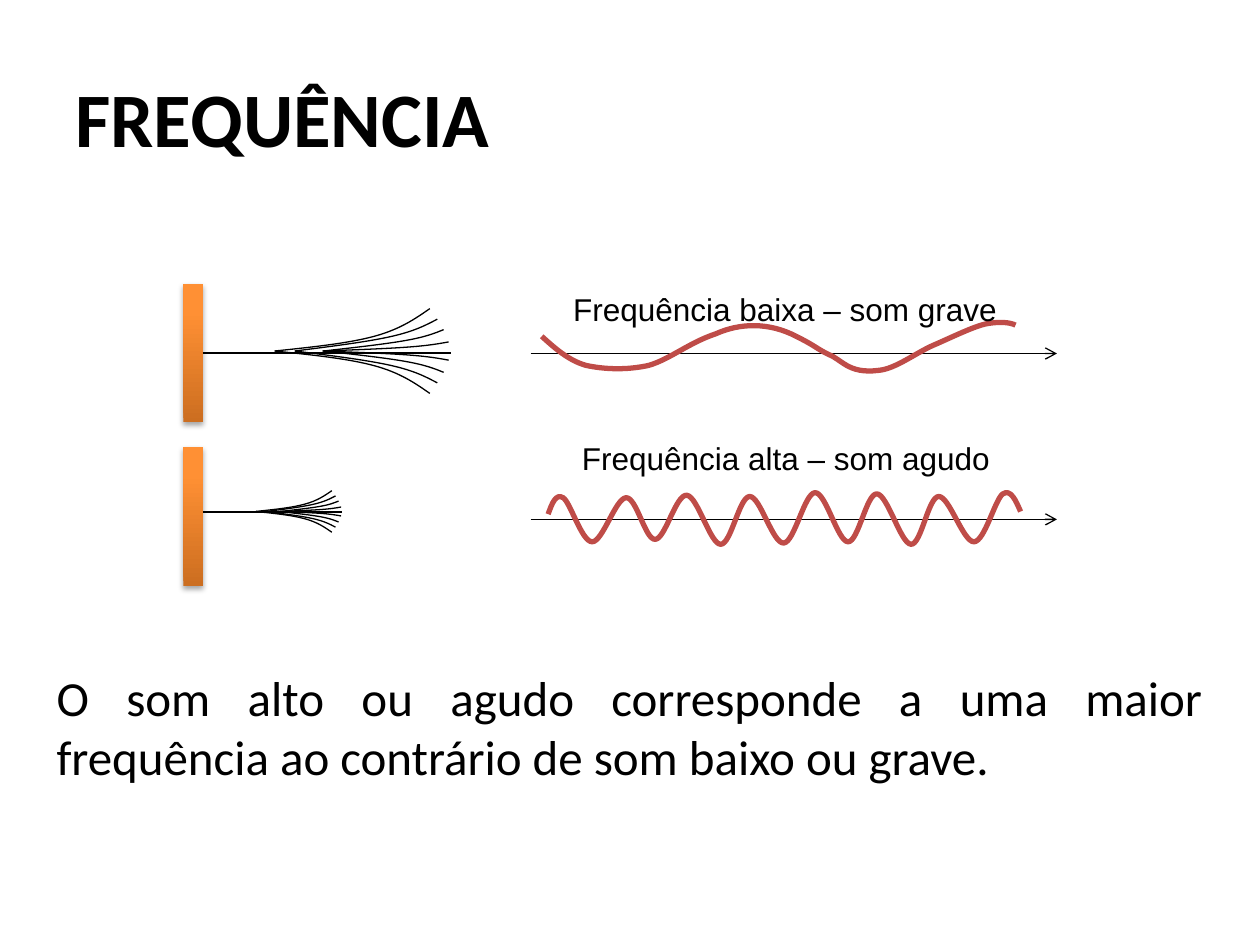
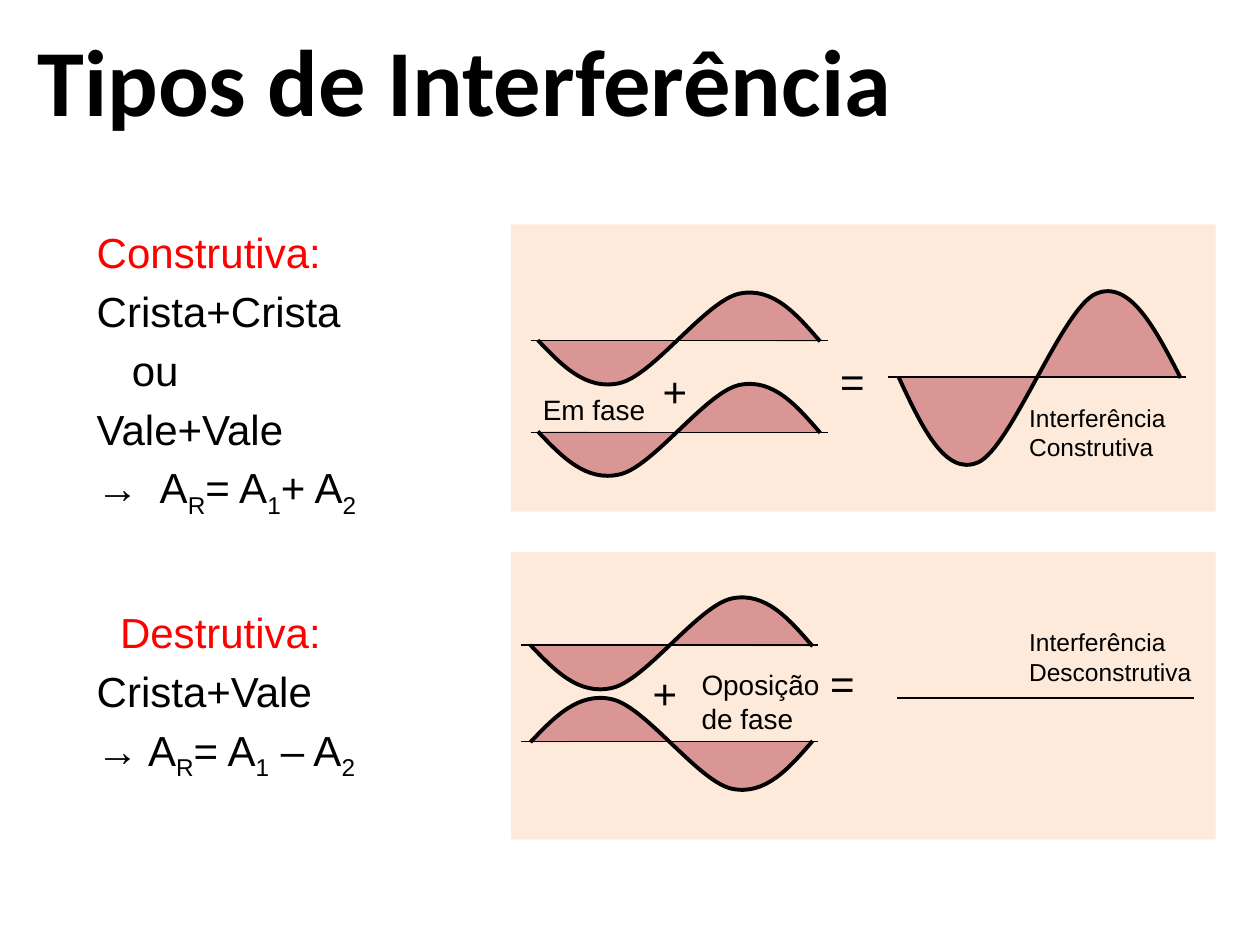
from lxml import etree
from pptx import Presentation
from pptx.dml.color import RGBColor
from pptx.enum.shapes import MSO_CONNECTOR as Connector
from pptx.enum.shapes import MSO_SHAPE as Shape
from pptx.enum.shapes import MSO_SHAPE_TYPE as Kind
from pptx.enum.text import MSO_ANCHOR as Anchor
from pptx.enum.text import PP_ALIGN as Align
from pptx.oxml.ns import qn
from pptx.util import Pt

COLORS = {name: RGBColor.from_string(value) for name, value in {
    "black": "000000", "red": "FF0000", "wave": "BF4C48", "lobe": "D99694",
    "panel": "FDEADA", "wall_dark": "CC6E20", "wall_light": "FF9034",
}.items()}


def add_text(page, at, text, size, font="Arial", bold=False, wrap=False):
    """Add a text box; at is left, top, width, height in points."""
    box = page.shapes.add_textbox(*map(Pt, at))
    box.text_frame.word_wrap = wrap
    box.text_frame.text = text
    for para in box.text_frame.paragraphs:
        for span in para.runs:
            span.font.name = font
            span.font.size = Pt(size)
            span.font.bold = bold
            span.font.color.rgb = COLORS["black"]
    return box


def add_curve(page, knots, color, width, fill=None, has_handles=False):
    """Draw a Bezier curve; handles are worked out unless knots hold them."""
    points = list(knots) if has_handles else [knots[0]]
    last = len(knots) - 2
    for i in range(0 if has_handles else last + 1):
        start, end = knots[i], knots[i + 1]
        before, after = knots[max(i - 1, 0)], knots[min(i + 2, last + 1)]
        leave = [s + (e - b) / 6 for s, e, b in zip(start, end, before)]
        arrive = [e - (a - s) / 6 for s, e, a in zip(start, end, after)]
        if i == 0:
            leave = [(s + c) / 2 for s, c in zip(start, arrive)]
        if i == last:
            arrive = [(e + c) / 2 for e, c in zip(end, leave)]
        points += [leave, arrive, end]
    points = [(Pt(x), Pt(y)) for x, y in points]
    builder = page.shapes.build_freeform(*points[0])
    builder.add_line_segments(points[1:], close=False)
    curve = builder.convert_to_shape()
    # Turn every three line segments into one cubic segment
    outline = next(curve._element.iter(qn("a:path")))
    segments = outline.findall(qn("a:lnTo"))
    for i in range(0, len(segments), 3):
        cubic = etree.SubElement(outline, qn("a:cubicBezTo"))
        for segment in segments[i:i + 3]:
            cubic.append(segment[0])
            outline.remove(segment)
    curve.shadow.inherit = False
    curve.line.color.rgb = COLORS[color]
    curve.line.width = Pt(width)
    if fill:
        curve.fill.solid()
        curve.fill.fore_color.rgb = COLORS[fill]
    else:
        curve.fill.background()


deck = Presentation()
deck.slide_width, deck.slide_height = Pt(720), Pt(540)
frequency, interference = [
    deck.slides.add_slide(deck.slide_layouts[6]) for _ in range(2)]

# Titles
for page, text, at, size in [
    (frequency, "FREQUÊNCIA", (36, 21.6, 648, 90), 44),
    (interference, "Tipos de Interferência", (14.4, 20.2, 692, 49), 54),
]:
    title = add_text(page, at, text, size, "Calibri", bold=True, wrap=True)
    title.text_frame.vertical_anchor = Anchor.MIDDLE

# Frequency: closing statement
statement = add_text(
    frequency, (25.2, 378, 669, 75),
    "O som alto ou agudo corresponde a uma maior frequência "
    "ao contrário de som baixo ou grave.", 28, "Calibri", wrap=True)
statement.text_frame.paragraphs[0].alignment = Align.JUSTIFY

# Frequency: time axes, waves and their labels
low_wave = [(309.6, 192.2),
            (316.8, 198.7), (324.7, 205.9), (334.8, 208.8),
            (344.9, 211), (357.8, 211.7), (370.8, 208.8),
            (383, 205.2), (393.8, 195.8), (409, 190.8),
            (423.4, 184.3), (439.9, 184.3), (455, 192.2),
            (466.6, 198), (465.8, 198.7), (473, 202.3),
            (481, 205.2), (484.6, 213.8), (501.8, 211.7),
            (511.9, 211), (524.2, 200.9), (535, 196.6),
            (545, 192.2), (556.6, 186.5), (563.8, 185),
            (571.7, 183.6), (577.4, 184.3), (580.3, 185.8)]
high_wave = [(313.2, 293.8), (321.8, 284.4), (338.4, 309.6), (357.8, 284.4),
             (374.4, 308.2), (392.4, 283), (411.8, 311), (428.4, 283.7),
             (447.8, 310.3), (465.8, 281.5), (484.6, 309.6), (501.1, 282.2),
             (520.6, 311), (536.4, 283.7), (556.6, 309.6), (573.1, 282.2),
             (583.2, 292.3)]
for axis_y, wave, has_handles, label, at in [
    (202, low_wave, True,
     "Frequência baixa – som grave", (320.4, 162, 259, 29)),
    (296.8, high_wave, False,
     "Frequência alta – som agudo", (325.4, 247.3, 250, 29)),
]:
    axis = frequency.shapes.add_connector(
        Connector.STRAIGHT, Pt(303.3), Pt(axis_y), Pt(604), Pt(axis_y))
    axis.line.width = Pt(0.75)
    outline = axis.line._get_or_add_ln()
    etree.SubElement(outline, qn("a:tailEnd"), type="arrow")
    add_curve(frequency, wave, "wave", 3, has_handles=has_handles)
    add_text(frequency, at, label, 18)

# Frequency: walls with vibrating blades; fronds are offsets from the root
fronds = [[(27.4, 0), (75.6, 2.2), (99.4, 5.2)],
          [(28, 0), (74.9, 6), (96.5, 12.2)],
          [(11.5, 0), (66.2, 8.2), (92.9, 18.2)],
          [(0, 0), (56.9, 8.4), (88.6, 24.2)]]
for wall_top, blade_y, blade_end, root_x, root_y, scale in [
    (162.2, 201.2, 257.6, 157, 200.6, 1),
    (255.6, 292.5, 195.6, 146.2, 292.3, 0.49),
]:
    wall = frequency.shapes.add_shape(
        Shape.RECTANGLE, Pt(104.8), Pt(wall_top), Pt(11.2), Pt(79.2))
    wall.line.fill.background()
    wall.fill.gradient()
    wall.fill.gradient_angle = 90
    dark, light = wall.fill.gradient_stops
    dark.color.rgb, dark.position = COLORS["wall_dark"], 0
    light.color.rgb, light.position = COLORS["wall_light"], 0.8
    wall.shadow.inherit = False
    effects = wall._element.spPr.find(qn("a:effectLst"))
    shadow = etree.SubElement(
        effects, qn("a:outerShdw"), blurRad=str(Pt(3.1)), dist=str(Pt(1.8)),
        dir="5400000", rotWithShape="0")
    tint = etree.SubElement(shadow, qn("a:srgbClr"), val="000000")
    etree.SubElement(tint, qn("a:alpha"), val="35000")

    blade = frequency.shapes.add_connector(
        Connector.STRAIGHT, Pt(116), Pt(blade_y), Pt(blade_end), Pt(blade_y))
    blade.line.width = Pt(1.5)
    if abs(blade_y - wall_top - 39.6) < 1:
        blade.begin_connect(wall, 3)
        blade.end_y = blade.begin_y
    for side in (-1, 1):
        for frond in fronds:
            add_curve(frequency, [(root_x + x * scale, root_y + side * y * scale)
                                  for x, y in frond], "black", 0.75)

# Interference: panels
for top in (128.2, 315.4):
    panel = interference.shapes.add_shape(
        Shape.RECTANGLE, Pt(292.1), Pt(top), Pt(402.5), Pt(164.2))
    panel.shadow.inherit = False
    panel.fill.solid()
    panel.fill.fore_color.rgb = COLORS["panel"]
    panel.line.fill.background()

# Interference: waves as start, then offsets of the two peaks and the end
in_phase = [(46.8, 24.5), (115.2, -26.6), (161.3, 0.7)]
opposed = [(x, -y) for x, y in in_phase]
doubled = [(45.4, 49), (113, -47.5), (161.3, 0.7)]
for x, y, offsets in [
    (307.4, 194.4, in_phase),
    (307.4, 246.6, in_phase),
    (303.1, 368.6, in_phase),
    (303.1, 424.1, opposed),
    (513.4, 215.3, doubled),
]:
    add_curve(interference, [(x, y)] + [(x + dx, y + dy) for dx, dy in offsets],
              "black", 2.25, "lobe")

# Interference: rest lines
for x, y in [(303.3, 194.4), (303.3, 247), (297.7, 368.6), (297.7, 423.9),
             (507.6, 215.5), (512.6, 398.9)]:
    rest = interference.shapes.add_connector(
        Connector.STRAIGHT, Pt(x), Pt(y), Pt(x + 169.9), Pt(y))
    rest.line.width = Pt(0.75)

# Interference: signs and labels
for at, text, size in [
    ((371.5, 205.2, 29, 36.7), "+", 24),
    ((473, 199.4, 29, 36.7), "=", 24),
    ((365.8, 378, 29, 36.7), "+", 24),
    ((467.3, 372.2, 29, 36.7), "=", 24),
    ((303.1, 220.5, 74.2, 26.6), "Em fase", 16),
    ((393.8, 378, 87.1, 46.1), "Oposição\nde fase", 16),
    ((581, 226.8, 92.9, 41), "Interferência\nConstrutiva", 14),
    ((581, 355, 108, 41), "Interferência\nDesconstrutiva", 14),
]:
    add_text(interference, at, text, size)

# Interference: rules; "_" sets the next character as a subscript
rules = add_text(interference, (48.2, 126, 636, 356), "", 24, wrap=True)
for number, (text, color, margin, indent, gap) in enumerate([
    ("Construtiva:", "red", 27, -27, 0),
    ("Crista+Crista", "black", 27, -27, 4.8),
    ("ou", "black", 27, -7, 4.8),
    ("Vale+Vale", "black", 27, -27, 4.8),
    ("→\tA_R= A_1+ A_2", "black", 36, -36, 4.8),
    ("Destrutiva:", "red", 27, -13.7, 50),
    ("Crista+Vale", "black", 27, -27, 4.8),
    ("→ A_R= A_1 – A_2", "black", 27, -27, 4.8),
]):
    frame = rules.text_frame
    para = frame.add_paragraph() if number else frame.paragraphs[0]
    para.space_before = Pt(gap)
    properties = para._p.get_or_add_pPr()
    properties.set("marL", str(Pt(margin)))
    properties.set("indent", str(Pt(indent)))
    head, *tails = text.split("_")
    pieces = [(head, False)]
    for tail in tails:
        pieces += [(tail[0], True), (tail[1:], False)]
    for piece, lowered in pieces:
        if not piece:
            continue
        span = para.add_run()
        span.text = piece
        span.font.name = "Arial"
        span.font.size = Pt(24)
        span.font.color.rgb = COLORS[color]
        if lowered:
            span._r.get_or_add_rPr().set("baseline", "-25000")

# Every connector is black and without shadow
for page in deck.slides:
    for item in page.shapes:
        if item.shape_type == Kind.LINE:
            item.line.color.rgb = COLORS["black"]
            etree.SubElement(item._element.spPr, qn("a:effectLst"))

deck.save("out.pptx")
